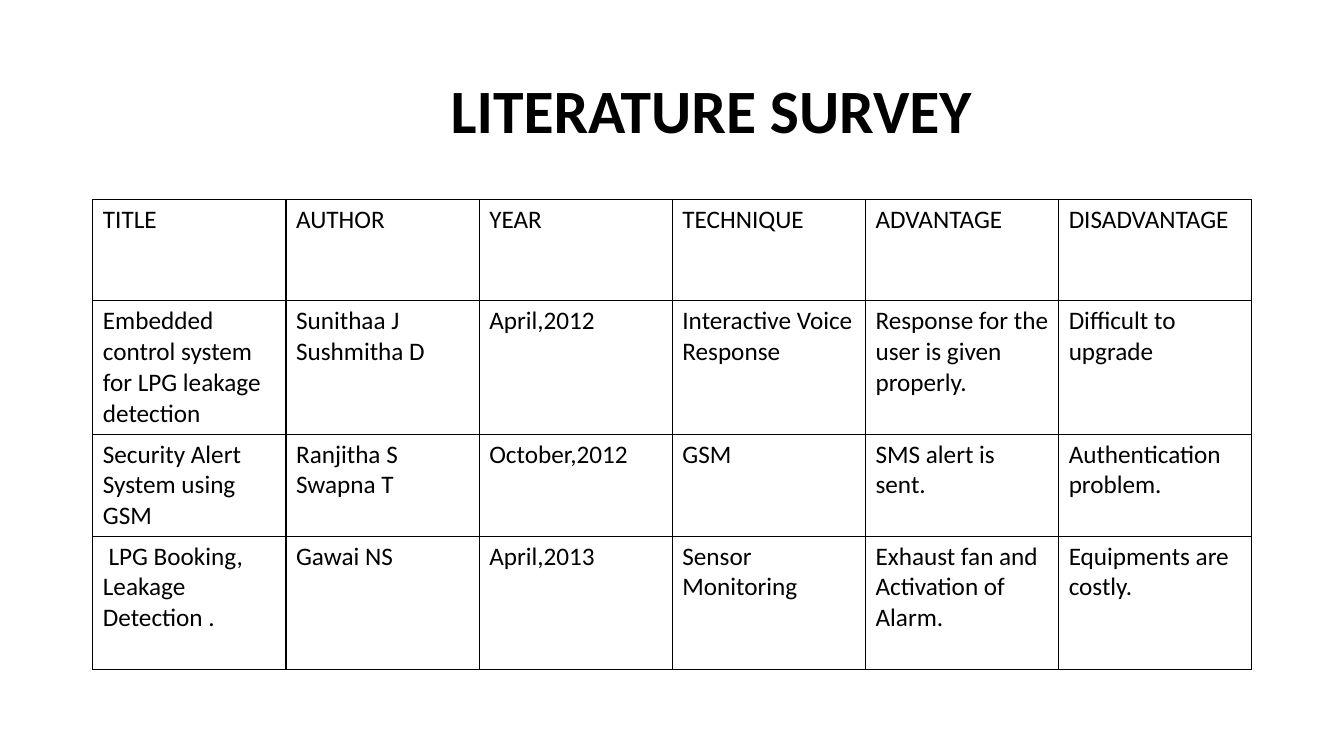
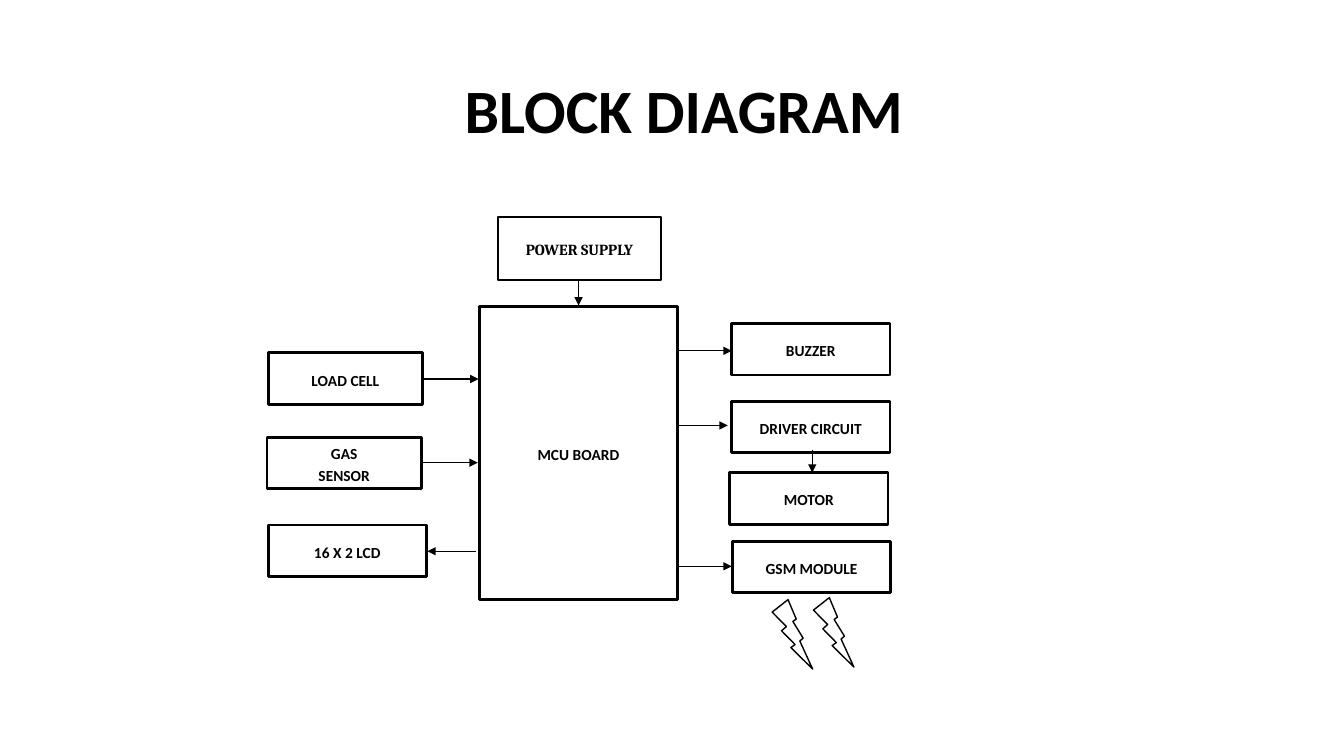
import dataclasses
import pptx
import pptx.dml.color
import pptx.enum.shapes
import pptx.enum.text
import pptx.oxml
import pptx.oxml.ns
import pptx.util
from pptx.util import Cm

SHAPES = pptx.enum.shapes.MSO_SHAPE
ALIGN = pptx.enum.text.PP_ALIGN
ANCHOR = pptx.enum.text.MSO_ANCHOR


@dataclasses.dataclass(frozen=True)
class Theme:
    """Colours, fonts, type sizes and line widths shared by the slides."""
    ink: str = "000000"
    paper: str = "FFFFFF"
    font: str = "Calibri"
    serif: str = "Cambria"
    title_size: float = 44
    table_size: float = 18
    block_size: float = 11
    block_line: float = 2
    thin_block_line: float = 1.5
    fine_line: float = 1
    arrow_line: float = 0.75


THEME = Theme()
TITLE_BOX = (2.34, 1.03, 29.21, 3.68)
TABLE_BOX = (2.34, 5.03, 29.21, 11.84)
DIAGRAM_BOX = (6.73, 5.46, 15.72, 11.4)

SURVEY = [
    ["TITLE", "AUTHOR", "YEAR", "TECHNIQUE", "ADVANTAGE", "DISADVANTAGE"],
    ["Embedded control system for LPG leakage detection", "Sunithaa J\nSushmitha D",
     "April,2012", "Interactive Voice Response",
     "Response for the user is given properly.", "Difficult to upgrade"],
    ["Security Alert System using GSM", "Ranjitha S\nSwapna T", "October,2012",
     "GSM", "SMS alert is sent.", "Authentication problem."],
    [" LPG Booking, Leakage Detection .", "Gawai NS", "April,2013",
     "Sensor Monitoring", "Exhaust fan and Activation of Alarm.",
     "Equipments are costly."],
]
ROW_HEIGHTS = [2.55, 3.36, 2.57, 3.36]

# Places inside the diagram box, in centimetres.
INPUT_SIZE = (3.89, 1.3)
OUTPUT_SIZE = (3.99, 1.3)
BLOCKS = [
    ("MCU BOARD", (5.36, 2.26), (4.98, 7.39)),
    ("LOAD CELL", (0.03, 3.43), INPUT_SIZE),
    ("GAS\nSENSOR", (0, 5.56), INPUT_SIZE),
    ("16 X 2 LCD", (0.03, 7.77), OUTPUT_SIZE),
    ("BUZZER", (11.71, 2.69), OUTPUT_SIZE),
    ("DRIVER CIRCUIT", (11.71, 4.65), OUTPUT_SIZE),
    ("MOTOR", (11.66, 6.45), OUTPUT_SIZE),
    ("GSM MODULE", (11.73, 8.18), OUTPUT_SIZE),
]
ARROWS = [
    ((7.85, 1.57), (7.85, 2.24)),    # power supply to board
    ((3.96, 4.09), (5.33, 4.09)),    # load cell to board
    ((3.94, 6.2), (5.31, 6.2)),      # gas sensor to board
    ((5.26, 8.43), (4.04, 8.43)),    # board to display
    ((10.31, 3.38), (11.71, 3.38)),  # board to buzzer
    ((10.31, 5.26), (11.61, 5.26)),  # board to driver circuit
    ((10.34, 8.81), (11.71, 8.81)),  # board to GSM module
    ((13.74, 5.87), (13.74, 6.45)),  # driver circuit to motor
]
SIGNALS = [(12.73, 9.65), (13.77, 9.6)]
SIGNAL_SIZE = (1.02, 1.75)


def color(value):
    """Turn a hex string into a colour."""
    return pptx.dml.color.RGBColor.from_string(value)


def write(frame, text, size, font=THEME.font, bold=False, align=ALIGN.LEFT, spacing=1.0):
    """Fill a text frame, one paragraph for each line of the text."""
    frame.word_wrap = True
    for index, line in enumerate(text.split("\n")):
        paragraph = frame.add_paragraph() if index else frame.paragraphs[0]
        paragraph.alignment = align
        paragraph.line_spacing = spacing
        run = paragraph.add_run()
        run.text = line
        run.font.size = pptx.util.Pt(size)
        run.font.name = font
        run.font.bold = bold
        run.font.color.rgb = color(THEME.ink)


def add_title(slide, box, text, indent):
    """Place the slide title, moved right by an indent."""
    frame = slide.shapes.add_textbox(*map(Cm, box)).text_frame
    frame.vertical_anchor = ANCHOR.MIDDLE
    frame.margin_left = Cm(0.25 + indent)
    write(frame, text, THEME.title_size, bold=True, spacing=0.9)


def outline_cell(cell):
    """Draw a thin line on all four sides of a table cell."""
    properties = cell._tc.get_or_add_tcPr()
    namespace = pptx.oxml.ns.nsdecls("a")
    for index, side in enumerate(("lnL", "lnR", "lnT", "lnB")):
        properties.insert(index, pptx.oxml.parse_xml(
            f'<a:{side} {namespace} w="{pptx.util.Pt(THEME.fine_line)}"><a:solidFill>'
            f'<a:srgbClr val="{THEME.ink}"/></a:solidFill></a:{side}>'))


def add_survey(slide, box, rows, heights):
    """Place a plain ruled table with equal columns."""
    table = slide.shapes.add_table(len(rows), len(rows[0]), *map(Cm, box)).table
    table.first_row = table.horz_banding = False
    for column in table.columns:
        column.width = Cm(box[2] / len(rows[0]))
    for row, height, texts in zip(table.rows, heights, rows):
        row.height = Cm(height)
        for cell, text in zip(row.cells, texts):
            cell.fill.background()
            outline_cell(cell)
            write(cell.text_frame, text, THEME.table_size)


def add_outlined(slide, kind, place, size, line_width):
    """Place an unfilled preset shape with a dark outline."""
    shape = slide.shapes.add_shape(kind, *map(Cm, place + size))
    shape.shadow.inherit = False
    shape.fill.background()
    shape.line.color.rgb = color(THEME.ink)
    shape.line.width = pptx.util.Pt(line_width)
    return shape


def add_block(slide, text, place, size, font=THEME.font, line_width=THEME.block_line):
    """Place a labelled block of the diagram."""
    shape = add_outlined(slide, SHAPES.RECTANGLE, place, size, line_width)
    shape.fill.solid()
    shape.fill.fore_color.rgb = color(THEME.paper)
    shape.text_frame.vertical_anchor = ANCHOR.MIDDLE
    write(shape.text_frame, text, THEME.block_size, font=font, bold=True,
          align=ALIGN.CENTER, spacing=1.15)


def add_arrow(slide, start, end):
    """Place a straight arrow."""
    connector = slide.shapes.add_connector(
        pptx.enum.shapes.MSO_CONNECTOR.STRAIGHT, *map(Cm, start + end))
    connector.line.color.rgb = color(THEME.ink)
    connector.line.width = pptx.util.Pt(THEME.arrow_line)
    namespace = pptx.oxml.ns.nsdecls("a")
    connector.line._get_or_add_ln().append(
        pptx.oxml.parse_xml(f'<a:tailEnd {namespace} type="triangle"/>'))
    connector._element.spPr.append(pptx.oxml.parse_xml(f"<a:effectLst {namespace}/>"))


def add_diagram(slide, box):
    """Place blocks, arrows and radio signals relative to the box."""
    def inside(point):
        return box[0] + point[0], box[1] + point[1]

    add_block(slide, "POWER SUPPLY", inside((5.82, 0)), (4.11, 1.6),
              font=THEME.serif, line_width=THEME.thin_block_line)
    for text, place, size in BLOCKS:
        add_block(slide, text, inside(place), size)
    for start, end in ARROWS:
        add_arrow(slide, inside(start), inside(end))
    for place in SIGNALS:
        add_outlined(slide, SHAPES.LIGHTNING_BOLT, inside(place), SIGNAL_SIZE,
                     THEME.fine_line)


def add_slide(presentation, title, indent):
    """Add a blank slide with its title."""
    slide = presentation.slides.add_slide(presentation.slide_layouts[6])
    add_title(slide, TITLE_BOX, title, indent)
    return slide


def main():
    """Build and save both slides."""
    presentation = pptx.Presentation()
    presentation.slide_width = Cm(33.87)
    presentation.slide_height = Cm(19.05)
    survey_slide = add_slide(presentation, "LITERATURE SURVEY", 8.77)
    add_survey(survey_slide, TABLE_BOX, SURVEY, ROW_HEIGHTS)
    diagram_slide = add_slide(presentation, "BLOCK DIAGRAM", 9.12)
    add_diagram(diagram_slide, DIAGRAM_BOX)
    presentation.save("out.pptx")


main()
